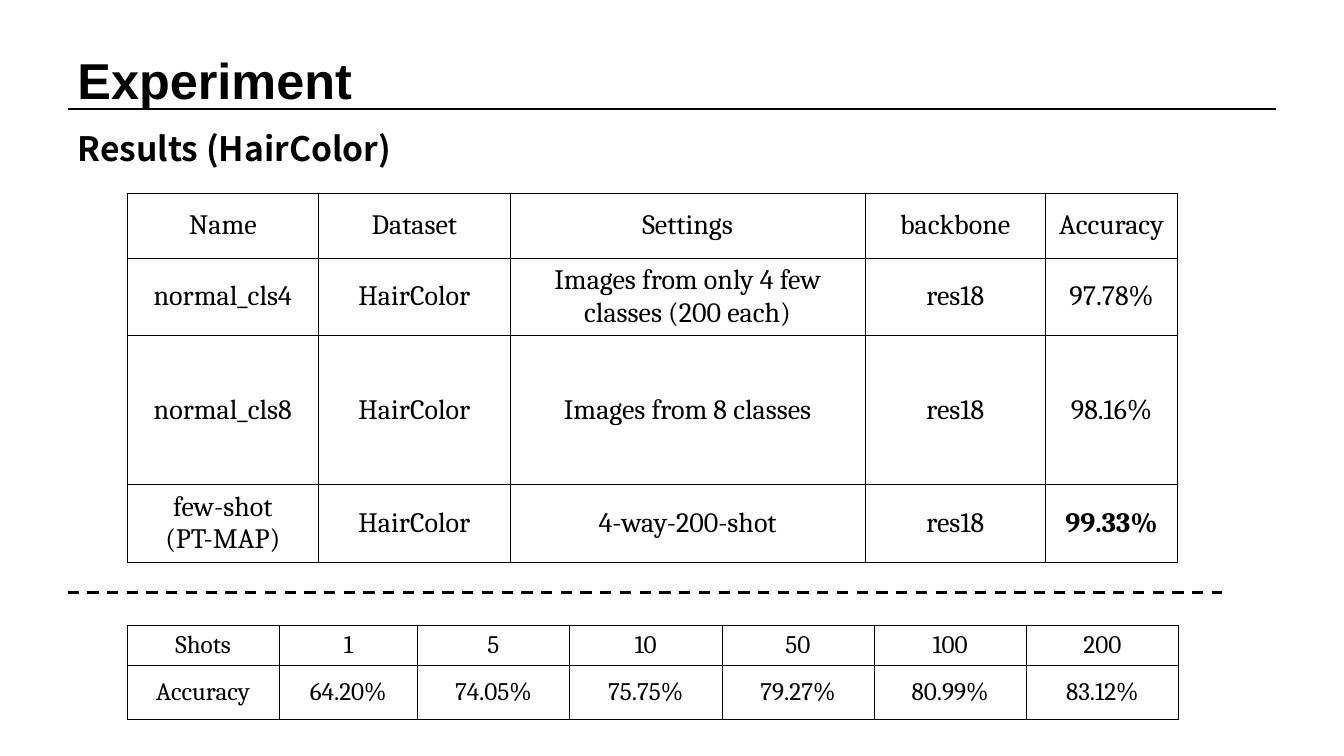
from lxml import etree
from pptx import Presentation
from pptx.dml.color import RGBColor
from pptx.enum.dml import MSO_LINE
from pptx.enum.shapes import MSO_CONNECTOR
from pptx.enum.text import MSO_ANCHOR, MSO_AUTO_SIZE, PP_ALIGN
from pptx.oxml import parse_xml
from pptx.oxml.ns import nsdecls, qn
from pptx.util import Inches, Pt

BLACK = RGBColor(0, 0, 0)
MARGIN, TABLE_LEFT = 0.67, 1.26

HEADINGS = [
    ("Experiment", 0.44, 3.12, 0.71, 36, "Arial"),
    ("Results (HairColor)", 1.22, 12.02, 0.5, 24, "Noto Sans CJK SC"),
]
RULES = [
    (1.08, 12.66, 1.5, MSO_LINE.SOLID),
    (5.88, 12.12, 2, MSO_LINE.DASH),
]
METHODS = [
    ("Name", "Dataset", "Settings", "backbone", "Accuracy"),
    ("normal_cls4", "HairColor", "Images from only 4 few classes (200 each)", "res18", "97.78%"),
    ("normal_cls8", "HairColor", "Images from 8 classes", "res18", "98.16%"),
    ("few-shot\n(PT-MAP)", "HairColor", "4-way-200-shot", "res18", "99.33%"),
]
SHOTS = [
    ("Shots", "1", "5", "10", "50", "100", "200"),
    ("Accuracy", "64.20%", "74.05%", "75.75%", "79.27%", "80.99%", "83.12%"),
]
BEST = "99.33%"
TABLES = [
    (METHODS, 1.92, [1.9, 1.9, 3.52, 1.79, 1.31], [0.64, 0.77, 1.48, 0.77], 20),
    (SHOTS, 6.2, [1.51, 1.37] + [1.51] * 5, [0.4, 0.54], 18),
]


def style(frame, size, face, bold):
    for paragraph in frame.paragraphs:
        for run in paragraph.runs:
            run.font.size = Pt(size)
            run.font.name = face
            run.font.bold = bold
            run.font.color.rgb = BLACK


def add_heading(slide, words, top, width, height, size, face):
    box = slide.shapes.add_textbox(Inches(MARGIN), Inches(top), Inches(width), Inches(height))
    frame = box.text_frame
    frame.word_wrap = True
    frame.auto_size = MSO_AUTO_SIZE.SHAPE_TO_FIT_TEXT
    frame.text = words
    style(frame, size, face, True)


def add_rule(slide, y, right, weight, dash):
    rule = slide.shapes.add_connector(
        MSO_CONNECTOR.STRAIGHT, Inches(MARGIN), Inches(y), Inches(right), Inches(y))
    rule.line.color.rgb = BLACK
    rule.line.width = Pt(weight)
    rule.line.dash_style = dash
    etree.SubElement(rule._element.spPr, qn("a:effectLst"))


def add_borders(cell):
    properties = cell._tc.get_or_add_tcPr()
    for position, side in enumerate(("lnL", "lnR", "lnT", "lnB")):
        properties.insert(position, parse_xml(
            f'<a:{side} {nsdecls("a")} w="{Pt(0.5)}"><a:solidFill>'
            f'<a:srgbClr val="{BLACK}"/></a:solidFill></a:{side}>'))


def add_grid(slide, rows, top, widths, heights, size):
    table = slide.shapes.add_table(
        len(rows), len(widths), Inches(TABLE_LEFT), Inches(top),
        Inches(sum(widths)), Inches(sum(heights))).table
    table.first_row = table.horz_banding = False
    for column, width in zip(table.columns, widths):
        column.width = Inches(width)
    for row, height, values in zip(table.rows, heights, rows):
        row.height = Inches(height)
        for cell, value in zip(row.cells, values):
            cell.text_frame.text = value
            cell.vertical_anchor = MSO_ANCHOR.MIDDLE
            cell.fill.background()
            add_borders(cell)
            for paragraph in cell.text_frame.paragraphs:
                paragraph.alignment = PP_ALIGN.CENTER
            style(cell.text_frame, size, "Cambria", value == BEST)


def main():
    deck = Presentation()
    deck.slide_width, deck.slide_height = Inches(13.33), Inches(7.5)
    slide = deck.slides.add_slide(deck.slide_layouts[6])
    for heading in HEADINGS:
        add_heading(slide, *heading)
    for rule in RULES:
        add_rule(slide, *rule)
    for grid in TABLES:
        add_grid(slide, *grid)
    deck.save("out.pptx")


if __name__ == "__main__":
    main()
